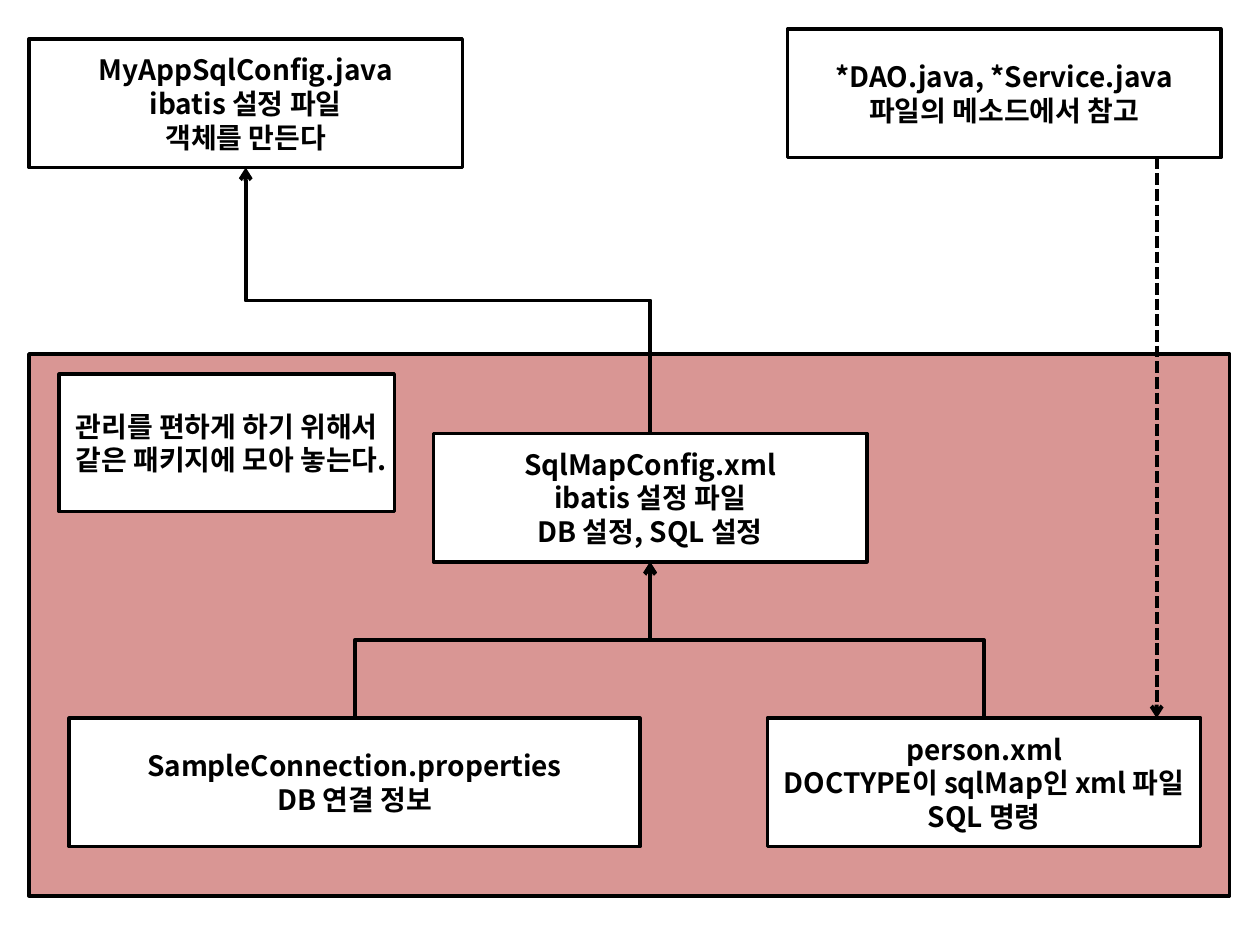
from lxml.etree import SubElement as Sub
from pptx import Presentation
from pptx.dml.color import RGBColor as Rgb
from pptx.enum.dml import MSO_LINE as Dash
from pptx.enum.shapes import MSO_CONNECTOR as Conn, MSO_SHAPE as Kind
from pptx.enum.text import MSO_ANCHOR as Anchor, PP_ALIGN as Align
from pptx.oxml.ns import qn
from pptx.util import Inches, Pt

HUES = {"ink": "000000", "paper": "FFFFFF", "rose": "D99694"}
FONT = "Noto Sans CJK KR"
WIDE, HIGH = 3.44, 1.02


def hue(name):
    return Rgb.from_string(HUES[name])


def add_box(slide, left, top, width=WIDE, height=HIGH, text="", fill="paper"):
    box = slide.shapes.add_shape(Kind.RECTANGLE, *map(Inches, (left, top, width, height)))
    box.shadow.inherit = False
    box.fill.solid()
    box.fill.fore_color.rgb = hue(fill)
    box.line.color.rgb = hue("ink")
    box.line.width = Pt(2)
    if text:
        set_text(box.text_frame, text)
    return box


def set_text(frame, text):
    frame.text = text
    frame.word_wrap = True
    frame.vertical_anchor = Anchor.MIDDLE
    for para in frame.paragraphs:
        para.alignment = Align.CENTER
        for run in para.runs:
            font = run.font
            font.name, font.size, font.bold = FONT, Pt(16), True
            font.color.rgb = hue("ink")
            Sub(font._element, qn("a:ea"), typeface=FONT)


def add_arrow(slide, kind, *ends):
    arrow = slide.shapes.add_connector(kind, *map(Inches, ends))
    arrow.line.color.rgb = hue("ink")
    arrow.line.width = Pt(2.25)
    Sub(arrow.line._get_or_add_ln(), qn("a:tailEnd"), type="arrow")
    Sub(arrow._element.spPr, qn("a:effectLst"))
    return arrow


def mid(box):
    return (box.left + box.width / 2) / Inches(1)


def rise(slide, low, high):
    x1, y1 = mid(low), low.top / Inches(1)
    x2, y2 = mid(high), (high.top + high.height) / Inches(1)
    x, y = (x1 + x2) / 2, (y1 + y2) / 2
    run, half = (x2 - x1) / 2, (y1 - y2) / 2
    arrow = add_arrow(slide, Conn.ELBOW, x - half, y - run, x + half, y + run)
    arrow._element.spPr.find(qn("a:xfrm")).set("rot", str(270 * 60000))


def add_group(slide, left, top, width, height):
    add_box(slide, left, top, width, height, fill="rose")
    add_box(slide, left + 0.24, top + 0.16, 2.66, 1.09,
            "관리를 편하게 하기 위해서 같은 패키지에 모아 놓는다.")
    setup = add_box(slide, left + 3.21, top + 0.63,
                    text="SqlMapConfig.xml\nibatis 설정 파일\nDB 설정, SQL 설정")
    row = top + 2.89
    link = add_box(slide, left + 0.32, row, 4.53,
                   text="SampleConnection.properties\nDB 연결 정보")
    person = add_box(slide, left + 5.86, row,
                     text="person.xml\nDOCTYPE이 sqlMap인 xml 파일\nSQL 명령")
    for low in (link, person):
        rise(slide, low, setup)
    return setup, person


def add_users(slide, left, top, setup, person):
    maker = add_box(slide, left, top + 0.08,
                    text="MyAppSqlConfig.java\nibatis 설정 파일\n객체를 만든다")
    add_box(slide, left + 6.02, top,
            text="*DAO.java, *Service.java\n파일의 메소드에서 참고")
    rise(slide, setup, maker)
    x = left + 8.95
    call = add_arrow(slide, Conn.STRAIGHT, x, top + HIGH, x, person.top / Inches(1))
    call.line.dash_style = Dash.SQUARE_DOT


deck = Presentation()
deck.slide_width, deck.slide_height = Inches(10), Inches(7.5)
page = deck.slides.add_slide(deck.slide_layouts[6])
setup, person = add_group(page, 0.23, 2.81, 9.53, 4.3)
add_users(page, 0.23, 0.23, setup, person)
deck.save("out.pptx")
